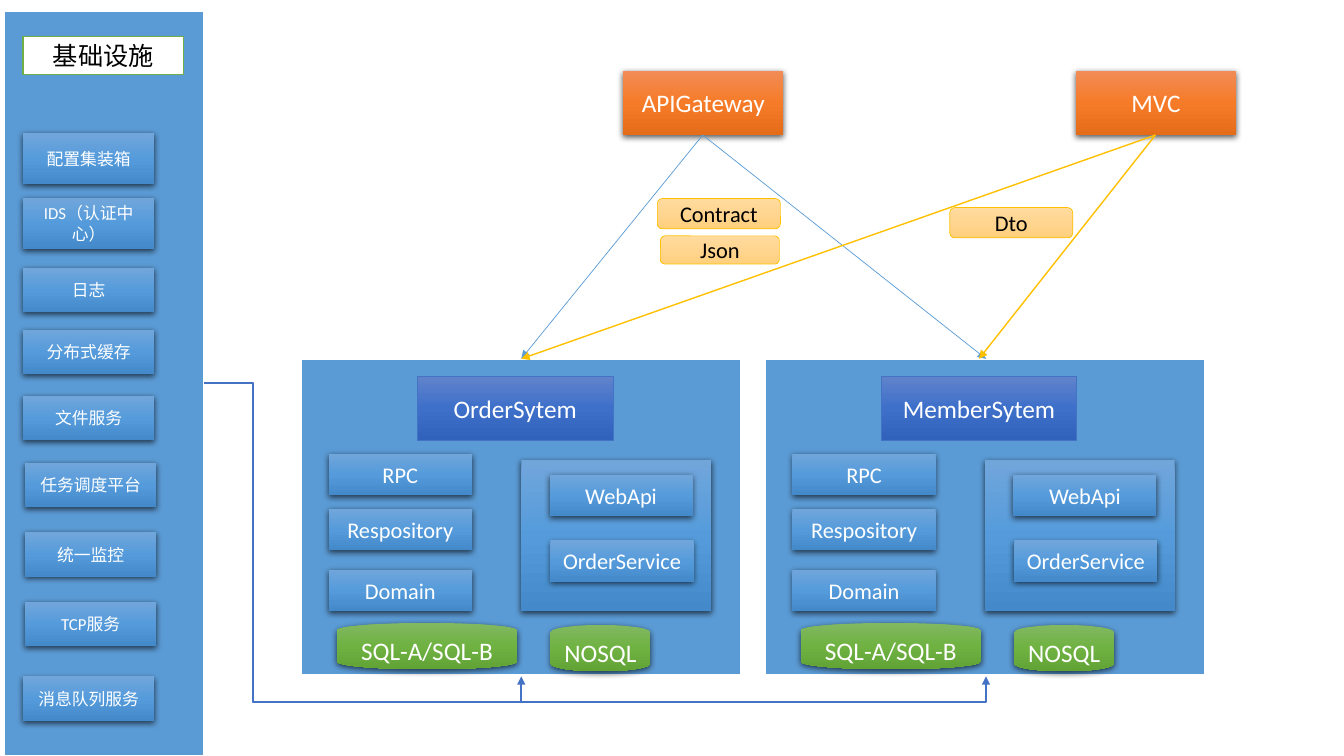
from lxml import etree
from pptx import Presentation
from pptx.dml.color import RGBColor
from pptx.enum.shapes import MSO_CONNECTOR, MSO_SHAPE
from pptx.enum.text import MSO_ANCHOR, PP_ALIGN
from pptx.oxml.ns import qn
from pptx.util import Emu, Pt

PX = 9144
RECT = MSO_SHAPE.RECTANGLE
ROUNDED = MSO_SHAPE.ROUNDED_RECTANGLE
DISK = MSO_SHAPE.FLOWCHART_MAGNETIC_DISK
STRAIGHT = MSO_CONNECTOR.STRAIGHT
ELBOW = MSO_CONNECTOR.ELBOW
CENTER = PP_ALIGN.CENTER
MIDDLE = MSO_ANCHOR.MIDDLE

WHITE = RGBColor(0xFF, 0xFF, 0xFF)
BLACK = RGBColor(0x00, 0x00, 0x00)
SKY = RGBColor(0x5B, 0x9B, 0xD5)
ROYAL = RGBColor(0x44, 0x72, 0xC4)
GREEN = RGBColor(0x70, 0xAD, 0x47)
GOLD = RGBColor(0xFF, 0xC0, 0x00)
SKY_BLEND = (RGBColor(0x71, 0xA6, 0xDB), RGBColor(0x55, 0x9B, 0xDB), RGBColor(0x44, 0x8A, 0xCA))
ROYAL_BLEND = (RGBColor(0x61, 0x83, 0xCB), RGBColor(0x3E, 0x70, 0xCA), RGBColor(0x30, 0x62, 0xBB))
GREEN_BLEND = (RGBColor(0x81, 0xB8, 0x61), RGBColor(0x6F, 0xB2, 0x42), RGBColor(0x62, 0xA3, 0x36))
ORANGE_BLEND = (RGBColor(0xF1, 0x8C, 0x57), RGBColor(0xF6, 0x7B, 0x28), RGBColor(0xE5, 0x6C, 0x19))
GOLD_BLEND = (RGBColor(0xFF, 0xDB, 0x9E), RGBColor(0xFF, 0xD5, 0x90), RGBColor(0xFF, 0xD0, 0x7C))


class Diagram:
    font = "Calibri"

    def __init__(self, slide):
        self.slide = slide
        self.shapes = slide.shapes

    def start_group(self):
        self.shapes = self.slide.shapes.add_group_shape().shapes

    def end_group(self):
        self.shapes = self.slide.shapes

    def block(self, box, text="", size=16, color=WHITE, kind=RECT, line=None, weight=0.5):
        block = self.shapes.add_shape(kind, *(Emu(value * PX) for value in box))
        block.shadow.inherit = False
        if line is None:
            block.line.fill.background()
        else:
            block.line.color.rgb = line
            block.line.width = Pt(weight)
        if text:
            block.text_frame.word_wrap = True
            block.text_frame.vertical_anchor = MIDDLE
            label = block.text_frame.paragraphs[0]
            label.text = text
            label.alignment = CENTER
            label.font.name = self.font
            label.font.size = Pt(size)
            label.font.color.rgb = color
        return block

    def flat(self, box, fill, text="", **style):
        block = self.block(box, text, **style)
        block.fill.solid()
        block.fill.fore_color.rgb = fill

    def blended(self, box, blend, text="", **style):
        block = self.block(box, text, **style)
        block.fill.gradient()
        block.fill.gradient_angle = 270
        stops = block.element.spPr.find(qn("a:gradFill")).find(qn("a:gsLst"))
        for stop in list(stops):
            stops.remove(stop)
        for position, color in zip((0, 50000, 100000), blend):
            stop = etree.SubElement(stops, qn("a:gs"), pos=str(position))
            etree.SubElement(stop, qn("a:srgbClr"), val=str(color))
        return block

    def raised(self, box, blend, text="", **style):
        block = self.blended(box, blend, text, **style)
        effects = block.element.spPr.find(qn("a:effectLst"))
        shadow = etree.SubElement(effects, qn("a:outerShdw"), blurRad="57150", dist="19050",
                                  dir="5400000", algn="ctr", rotWithShape="0")
        tint = etree.SubElement(shadow, qn("a:srgbClr"), val=str(BLACK))
        etree.SubElement(tint, qn("a:alpha"), val="63000")

    def arrow(self, start, end, color, weight, kind=STRAIGHT):
        arrow = self.shapes.add_connector(kind, *(Emu(value * PX) for value in (*start, *end)))
        arrow.line.color.rgb = color
        arrow.line.width = Pt(weight)
        properties = arrow.element.spPr
        etree.SubElement(properties.find(qn("a:ln")), qn("a:tailEnd"), type="triangle")
        etree.SubElement(properties, qn("a:effectLst"))
        return arrow

    def bent_arrow(self, start, end, turn_x, turn_y, color, weight):
        arrow = self.arrow(start, end, color, weight, ELBOW)
        geometry = arrow.element.spPr.find(qn("a:prstGeom"))
        geometry.set("prst", "bentConnector4")
        guides = geometry.find(qn("a:avLst"))
        turns = ((turn_x - start[0]) / (end[0] - start[0]),
                 (turn_y - start[1]) / (end[1] - start[1]))
        for number, ratio in enumerate(turns, 1):
            etree.SubElement(guides, qn("a:gd"), name=f"adj{number}",
                             fmla=f"val {round(ratio * 100000)}")


def draw_system(diagram, name, left):
    diagram.start_group()
    diagram.flat((left, 356, 436, 314), SKY, line=WHITE, weight=1.5)
    diagram.blended((left + 115, 373, 194, 64), ROYAL_BLEND, name, size=18, line=ROYAL)
    diagram.raised((left + 218, 456, 188, 150), SKY_BLEND)
    for part, x, y in (("RPC", 27, 450), ("Respository", 27, 505), ("Domain", 27, 565),
                       ("WebApi", 246, 471), ("OrderService", 247, 536)):
        diagram.raised((left + x, y, 142, 41), SKY_BLEND, part)
    for store, x, y, width in (("SQL-A/SQL-B", 35, 618, 179), ("NOSQL", 247, 620, 99)):
        diagram.raised((left + x, y, width, 46), GREEN_BLEND, store, size=18, kind=DISK)
    diagram.end_group()


def draw_infrastructure(diagram):
    diagram.flat((4, 11, 198, 739), SKY, line=WHITE, weight=1.5)
    diagram.flat((23, 36, 159, 38), WHITE, "基础设施", size=18, color=BLACK, line=GREEN, weight=1)
    services = (("配置集装箱", 23, 132, 51), ("IDS（认证中心）", 23, 196, 51), ("日志", 23, 266, 44),
                ("分布式缓存", 23, 327, 44), ("文件服务", 23, 393, 44), ("任务调度平台", 25, 459, 44),
                ("统一监控", 25, 528, 44), ("TCP服务", 25, 597, 44), ("消息队列服务", 23, 671, 44))
    for service, x, y, height in services:
        diagram.raised((x, y, 130, height), SKY_BLEND, service, size=12)


def main():
    deck = Presentation()
    deck.slide_width = Emu(1333 * PX)
    deck.slide_height = Emu(750 * PX)
    diagram = Diagram(deck.slides.add_slide(deck.slide_layouts[6]))

    draw_infrastructure(diagram)
    for name, left in (("OrderSytem", 299), ("MemberSytem", 759)):
        draw_system(diagram, name, left)
    for client, x in (("APIGateway", 618), ("MVC", 1067)):
        diagram.raised((x, 70, 159, 64), ORANGE_BLEND, client, size=18)

    for system_x in (517, 978):
        diagram.bent_arrow((202, 380), (system_x, 671), 251, 696, ROYAL, 1.5)
        diagram.arrow((697, 134), (system_x, 356), SKY, 0.5)
    for system_x in (517, 971):
        diagram.arrow((1146, 134), (system_x, 356), GOLD, 1)

    for message, box in (("Json", (655, 234, 118, 28)), ("Contract", (652, 197, 122, 30)),
                         ("Dto", (942, 206, 122, 30))):
        diagram.blended(box, GOLD_BLEND, message, color=BLACK, kind=ROUNDED, line=GOLD)

    deck.save("out.pptx")


if __name__ == "__main__":
    main()
